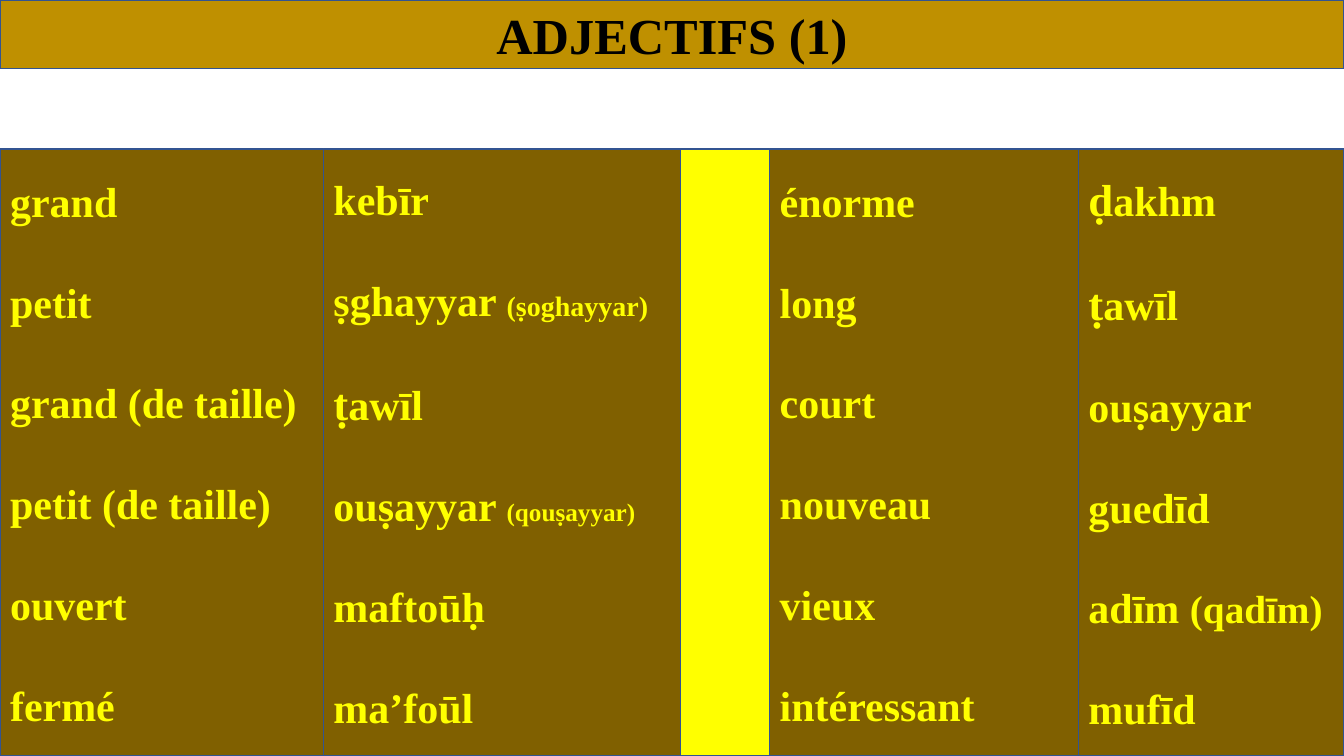
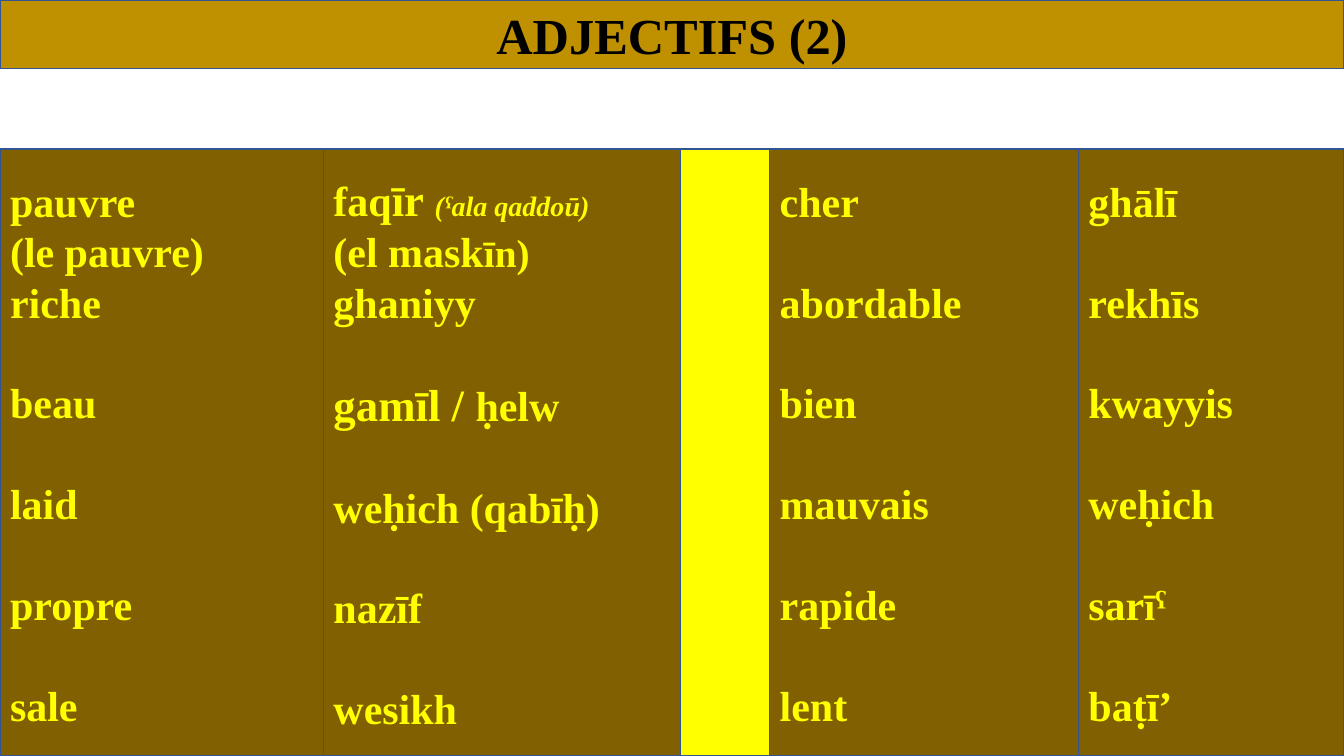
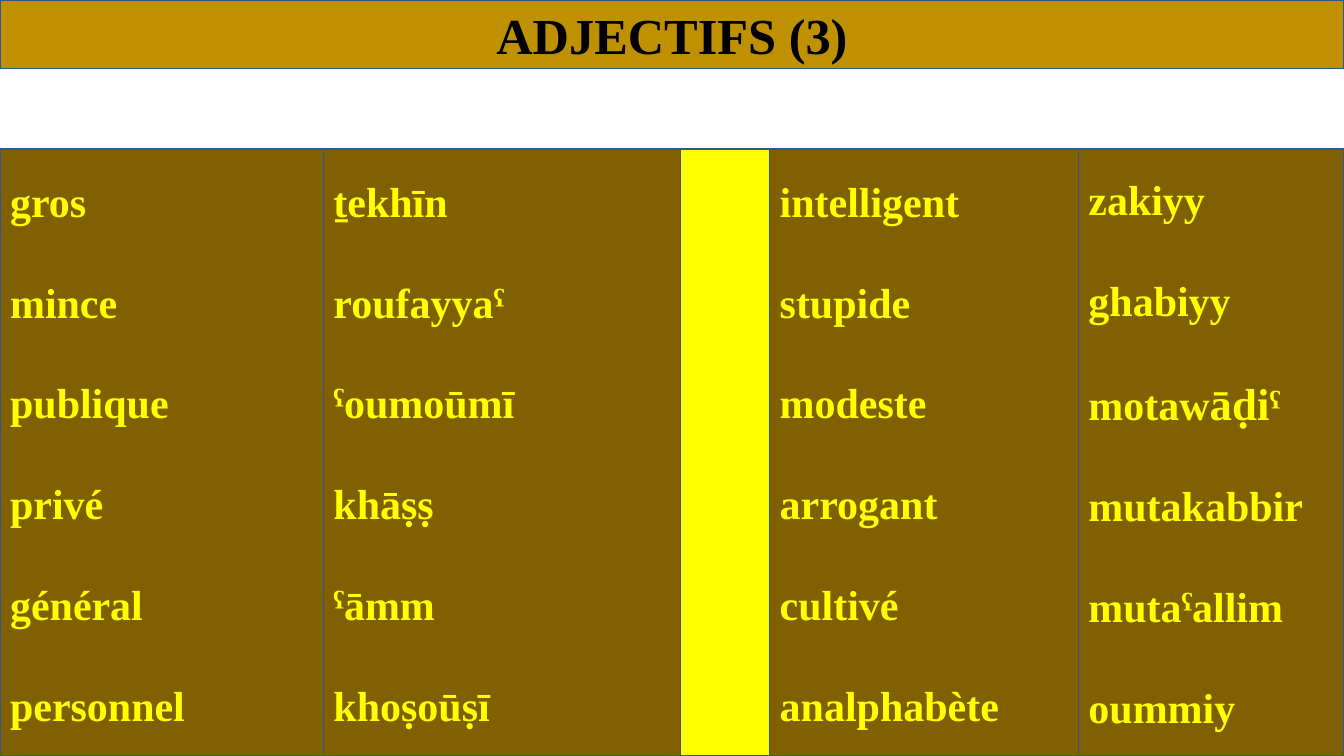
from dataclasses import dataclass
from typing import NamedTuple

from lxml import etree
from pptx import Presentation
from pptx import util as u
from pptx.dml.color import RGBColor
from pptx.enum import shapes, text
from pptx.oxml.ns import qn

PX = 9525
SLIDE_W, SLIDE_H = 1280, 720
BAND_H = 65
COLUMN_TOP = 142
FONT = "Times New Roman"
WORD_SIZE = 30
ROW_GAP = 36

GOLD = "BF9000"
BROWN = "806000"
YELLOW = "FFFF00"
BLACK = "000000"
OUTLINE = "325491"

COMPARISON_LAYOUT = 4


class Area(NamedTuple):
    left: int
    top: int
    width: int
    height: int


class Run(NamedTuple):
    text: str
    size: int = WORD_SIZE
    italic: bool = False


@dataclass(frozen=True)
class Entry:
    """One word or phrase; a tight one follows the line above without a gap."""
    runs: tuple[Run, ...]
    tight: bool = False


@dataclass(frozen=True)
class Lesson:
    title: str
    columns: tuple[list[Entry], ...]


def entry(*parts: str | Run, tight: bool = False) -> Entry:
    return Entry(tuple(Run(p) if isinstance(p, str) else p for p in parts), tight)


def words(*items: str | Entry) -> list[Entry]:
    return [entry(item) if isinstance(item, str) else item for item in items]


def column_area(left: int, right: int) -> Area:
    return Area(left, COLUMN_TOP, right - left, SLIDE_H - COLUMN_TOP)


TITLE_BAND = Area(0, 0, SLIDE_W, BAND_H)
EDGES = (0, 308, 648, 733, 1027, SLIDE_W)
FRENCH_1, ARABIC_1, DIVIDER, FRENCH_2, ARABIC_2 = (
    column_area(left, right) for left, right in zip(EDGES, EDGES[1:])
)
WORD_COLUMNS = (FRENCH_1, ARABIC_1, FRENCH_2, ARABIC_2)

TAWIL = entry(Run("ṭ", 32), "awīl")

LESSONS = [
    Lesson("ADJECTIFS (1)", (
        words("grand", "petit", "grand (de taille)", "petit (de taille)",
              "ouvert", "fermé"),
        words("kebīr", entry("ṣghayyar ", Run("(ṣoghayyar)", 20)), TAWIL,
              entry("ouṣayyar ", Run("(qouṣayyar)", 18)), "maftoūḥ", "ma’foūl"),
        words("énorme", "long", "court", "nouveau", "vieux", "intéressant"),
        words(entry(Run("ḍ", 32), "akhm"), TAWIL, "ouṣayyar", "guedīd",
              entry("adīm ", Run("(qadīm)", 28)), "mufīd"),
    )),
    Lesson("ADJECTIFS (2)", (
        words("pauvre", entry("(le pauvre)", tight=True),
              entry("riche", tight=True), "beau", "laid", "propre", "sale"),
        words(entry("faq", Run("īr ", 32), Run("(ˁala qaddoū)", 20, True)),
              entry("(el mask", Run("īn)", 28), tight=True),
              entry("ghaniyy", tight=True),
              entry(Run("gamīl / ", 32), "ḥelw"),
              entry("weḥich (qab", Run("ī", 28), "ḥ)"), "nazīf", "wesikh"),
        words("cher", "abordable", "bien", "mauvais", "rapide", "lent"),
        words("ghālī", "rekhīs", "kwayyis", "weḥich",
              entry("sar", Run("ī", 28), "ˁ"), "baṭī’"),
    )),
    Lesson("ADJECTIFS (3)", (
        words("gros", "mince", "publique", "privé", "général", "personnel"),
        words("ṯekhīn", "roufayyaˁ", "ˁoumoūmī", "khāṣṣ", "ˁāmm", "khoṣoūṣī"),
        words("intelligent", "stupide", "modeste", "arrogant", "cultivé",
              "analphabète"),
        words("zakiyy", "ghabiyy", entry("motaw", Run("āḍi", 32), "ˁ"),
              "mutakabbir", "mutaˁallim", "oummiy"),
    )),
]


def color(hex_code: str) -> RGBColor:
    return RGBColor.from_string(hex_code)


def style_panel(panel, area: Area, fill: str) -> None:
    panel.left, panel.top, panel.width, panel.height = (n * PX for n in area)
    panel.fill.solid()
    panel.fill.fore_color.rgb = color(fill)
    panel.line.color.rgb = color(OUTLINE)
    panel.line.width = u.Pt(1)


def prepare_frame(frame) -> None:
    frame.word_wrap = True
    frame.auto_size = text.MSO_AUTO_SIZE.NONE
    frame.vertical_anchor = text.MSO_ANCHOR.MIDDLE


def write(paragraph, content: str, *, size: int, ink: str,
          italic: bool = False) -> None:
    run = paragraph.add_run()
    run.text = content
    run.font.name = FONT
    run.font.size = u.Pt(size)
    run.font.bold = True
    run.font.italic = italic
    run.font.color.rgb = color(ink)


def remove_bullet(paragraph) -> None:
    properties = paragraph._p.get_or_add_pPr()
    properties.set("marL", "0")
    properties.set("indent", "0")
    etree.SubElement(properties, qn("a:buNone"))


def fill_title(title, heading: str) -> None:
    style_panel(title, TITLE_BAND, GOLD)
    prepare_frame(title.text_frame)
    paragraph = title.text_frame.paragraphs[0]
    paragraph.alignment = text.PP_ALIGN.CENTER
    write(paragraph, heading, size=36, ink=BLACK)


def fill_column(column, area: Area, entries: list[Entry]) -> None:
    style_panel(column, area, BROWN)
    frame = column.text_frame
    prepare_frame(frame)
    for row, word in enumerate(entries):
        paragraph = frame.add_paragraph() if row else frame.paragraphs[0]
        remove_bullet(paragraph)
        paragraph.alignment = text.PP_ALIGN.LEFT
        paragraph.space_before = u.Pt(ROW_GAP if row and not word.tight else 0)
        for run in word.runs:
            write(paragraph, run.text, size=run.size, ink=YELLOW,
                  italic=run.italic)


def add_lesson(deck, lesson: Lesson) -> None:
    slide = deck.slides.add_slide(deck.slide_layouts[COMPARISON_LAYOUT])
    title, *columns = slide.placeholders
    fill_title(title, lesson.title)
    for column, area, entries in zip(columns, WORD_COLUMNS, lesson.columns):
        fill_column(column, area, entries)
    divider = slide.shapes.add_shape(shapes.MSO_SHAPE.RECTANGLE, 0, 0, 0, 0)
    divider.shadow.inherit = False
    style_panel(divider, DIVIDER, YELLOW)


def main() -> None:
    deck = Presentation()
    deck.slide_width, deck.slide_height = SLIDE_W * PX, SLIDE_H * PX
    for lesson in LESSONS:
        add_lesson(deck, lesson)
    deck.save("out.pptx")


if __name__ == "__main__":
    main()
